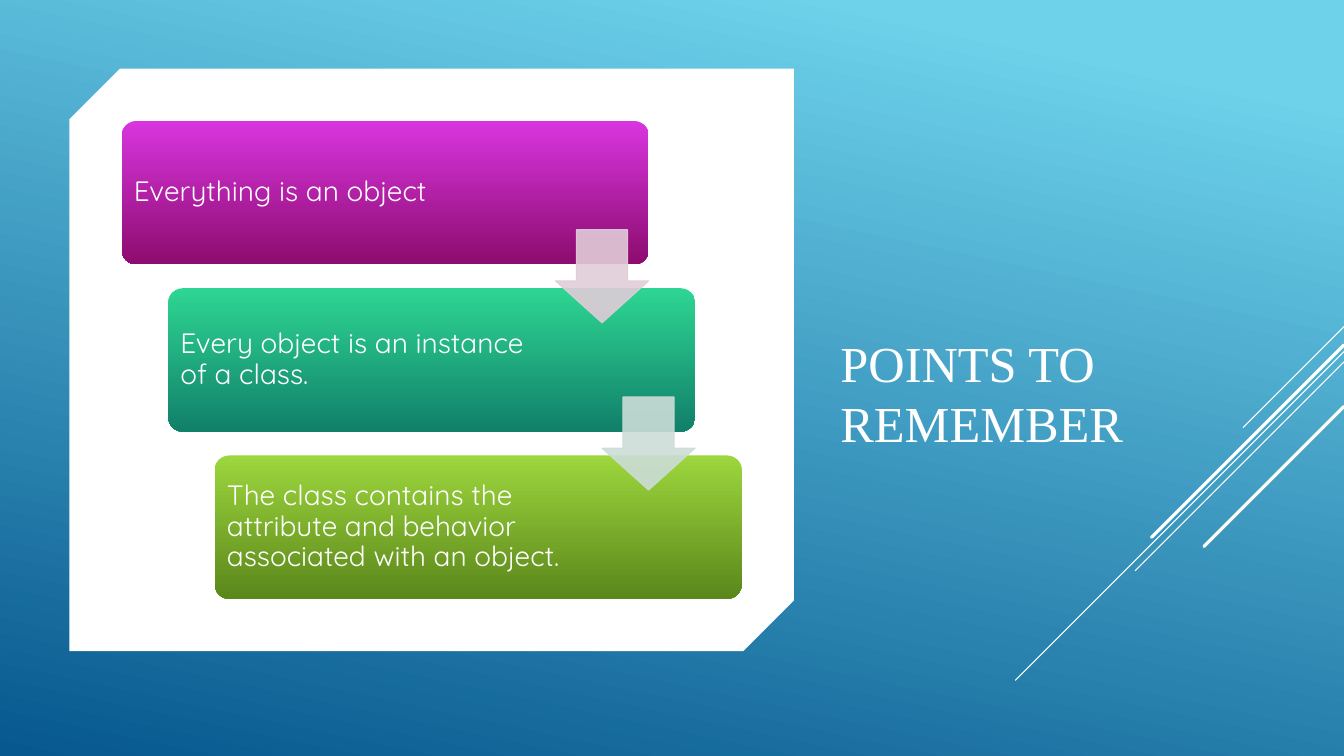
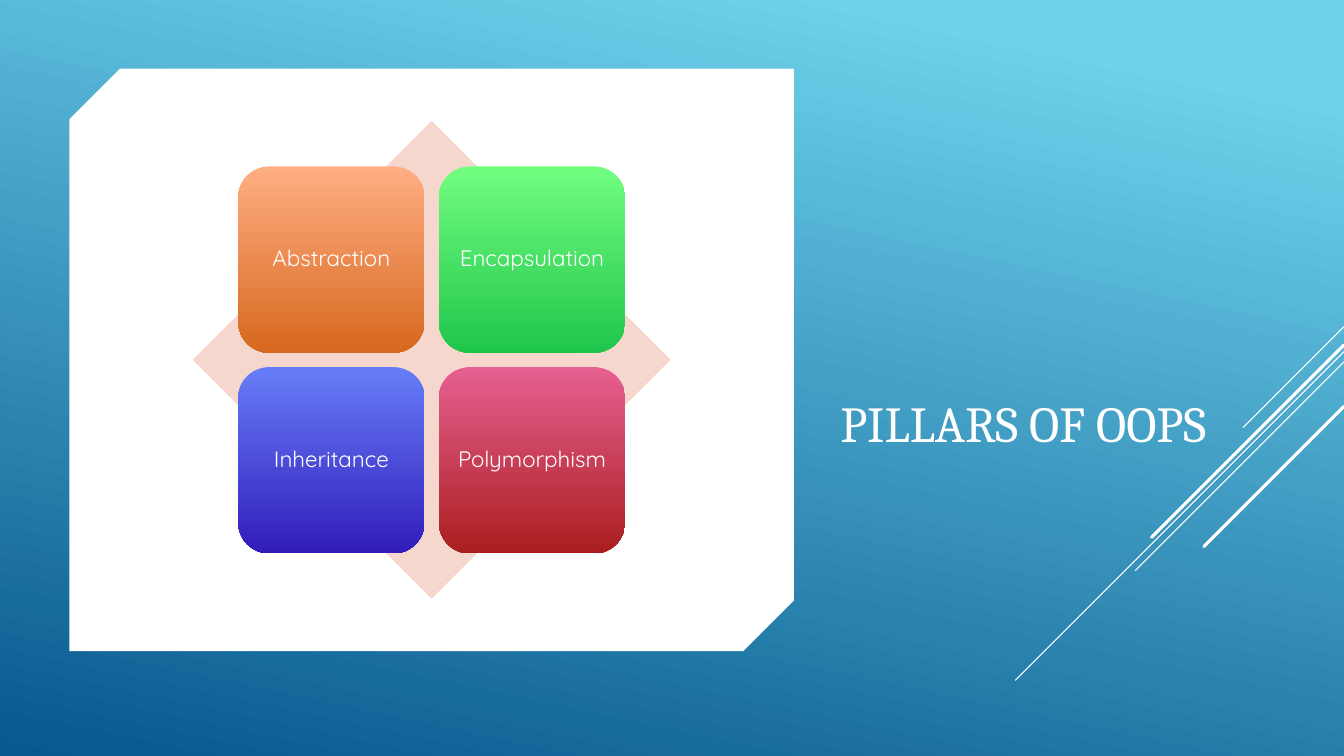
from dataclasses import dataclass

from lxml.etree import SubElement
from pptx import Presentation
from pptx.dml.color import RGBColor
from pptx.enum.shapes import MSO_CONNECTOR, MSO_SHAPE
from pptx.enum.text import MSO_ANCHOR, PP_ALIGN
from pptx.oxml.ns import qn
from pptx.util import Cm, Pt

WHITE = RGBColor(0xFF, 0xFF, 0xFF)
SKY = RGBColor(0x6E, 0xD2, 0xEB)
OCEAN = RGBColor(0x06, 0x58, 0x8E)
BLUSH = RGBColor(0xF6, 0xD7, 0xCE)
MAGENTA = (RGBColor(0xD8, 0x35, 0xDF), RGBColor(0x8D, 0x0C, 0x6F))
TEAL = (RGBColor(0x2E, 0xD5, 0x92), RGBColor(0x11, 0x80, 0x6A))
LIME = (RGBColor(0x9D, 0xD6, 0x3D), RGBColor(0x5B, 0x87, 0x1B))
ORANGE = (RGBColor(0xFF, 0xAE, 0x82), RGBColor(0xD7, 0x68, 0x1F))
GREEN = (RGBColor(0x72, 0xFD, 0x7F), RGBColor(0x20, 0xC6, 0x4C))
BLUE = (RGBColor(0x67, 0x7D, 0xF7), RGBColor(0x31, 0x1D, 0xBA))
RED = (RGBColor(0xE6, 0x60, 0x91), RGBColor(0xAA, 0x1E, 0x1F))
ARROW_COLORS = (RGBColor(0xE1, 0xCC, 0xD8), RGBColor(0xCC, 0xDD, 0xD7))
BODY_FONT = "Quicksand"

STEPS = (
    ("Everything is an object", MAGENTA),
    ("Every object is an instance of a class.", TEAL),
    ("The class contains the attribute and behavior associated with an object.", LIME),
)
PILLARS = (
    ("Abstraction", ORANGE),
    ("Encapsulation", GREEN),
    ("Inheritance", BLUE),
    ("Polymorphism", RED),
)
STREAKS = ((8.23, 2.54, 0.75), (8.86, 8.28, 0.75), (9.12, 5.26, 0.75),
           (8.69, 4.85, 2.25), (10.24, 3.53, 2.25))


@dataclass
class Box:
    """A rectangle measured in centimetres."""
    left: float
    top: float
    width: float
    height: float

    def lengths(self):
        """Return the four values as slide lengths."""
        return Cm(self.left), Cm(self.top), Cm(self.width), Cm(self.height)

    def inset(self, margin):
        """Return the box shrunk by a margin on every side."""
        return Box(self.left + margin, self.top + margin,
                   self.width - 2 * margin, self.height - 2 * margin)


SLIDE = Box(0, 0, 33.87, 19.05)
CARD = Box(1.75, 1.73, 18.26, 14.68)
TITLE = Box(20.93, 1.73, 10.16, 9.8)
DIAGRAM = CARD.inset(1.32)


def add_shape(slide, kind, box, color=None):
    """Add a preset shape without line or shadow, solid if given a colour."""
    shape = slide.shapes.add_shape(kind, *box.lengths())
    shape.shadow.inherit = False
    shape.line.fill.background()
    if color is not None:
        shape.fill.solid()
        shape.fill.fore_color.rgb = color
    return shape


def fill_gradient(shape, colors, clockwise=90, start=0):
    """Fill a shape with a two-colour linear gradient."""
    shape.fill.gradient()
    shape.fill.gradient_angle = 360 - clockwise
    for stop, color, position in zip(shape.fill.gradient_stops, colors, (start, 1)):
        stop.color.rgb = color
        stop.position = position


def write_text(shape, text, size, font, anchor, align=PP_ALIGN.LEFT, spacing=1.0):
    """Write one white paragraph in a shape."""
    frame = shape.text_frame
    frame.word_wrap = True
    frame.vertical_anchor = anchor
    paragraph = frame.paragraphs[0]
    paragraph.alignment = align
    paragraph.line_spacing = spacing
    run = paragraph.add_run()
    run.text = text
    run.font.size = Pt(size)
    run.font.name = font
    run.font.color.rgb = WHITE


def add_tile(slide, box, text, colors, size, align, margin, right_margin):
    """Add a rounded gradient tile with its label."""
    tile = add_shape(slide, MSO_SHAPE.ROUNDED_RECTANGLE, box)
    fill_gradient(tile, colors)
    frame = tile.text_frame
    frame.margin_left = frame.margin_top = frame.margin_bottom = Cm(margin)
    frame.margin_right = Cm(right_margin)
    write_text(tile, text, size, BODY_FONT, MSO_ANCHOR.MIDDLE, align, 0.9)
    return tile


def add_streaks(slide, box):
    """Draw the diagonal lines that run down from the right edge of the box."""
    right = box.left + box.width
    for top, reach, weight in STREAKS:
        streak = slide.shapes.add_connector(
            MSO_CONNECTOR.STRAIGHT, Cm(right), Cm(box.top + top),
            Cm(right - reach), Cm(box.top + top + reach))
        streak.line.color.rgb = WHITE
        streak.line.width = Pt(weight)
        properties = streak._element.spPr
        properties.find(qn("a:ln")).set("cap", "rnd")
        SubElement(properties, qn("a:effectLst"))


def add_base_slide(presentation, title, font):
    """Add a slide with backdrop, title, white card and streaks."""
    slide = presentation.slides.add_slide(presentation.slide_layouts[6])
    backdrop = add_shape(slide, MSO_SHAPE.RECTANGLE, SLIDE)
    fill_gradient(backdrop, (SKY, OCEAN), 102, 0.1)
    heading = slide.shapes.add_textbox(*TITLE.lengths())
    write_text(heading, title, 36, font, MSO_ANCHOR.BOTTOM)
    card = add_shape(slide, MSO_SHAPE.SNIP_2_DIAG_RECTANGLE, CARD, WHITE)
    card.adjustments[0] = 0.087
    card.adjustments[1] = 0
    add_streaks(slide, SLIDE)
    return slide


def add_arrow(slide, box, color):
    """Add a slightly transparent down arrow."""
    arrow = add_shape(slide, MSO_SHAPE.DOWN_ARROW, box, color)
    arrow.adjustments[0] = 0.55
    arrow.adjustments[1] = 0.45
    arrow.line.color.rgb = color
    arrow.line.width = Pt(0.75)
    for paint in arrow._element.spPr.iter(qn("a:srgbClr")):
        SubElement(paint, qn("a:alpha")).set("val", "90000")


def add_staircase(slide, box):
    """Place the steps down the box and an arrow between each pair."""
    width, height = 0.85 * box.width, 0.3 * box.height
    shift, drop = 0.075 * box.width, 0.35 * box.height
    for index, (text, colors) in enumerate(STEPS):
        place = Box(box.left + index * shift, box.top + index * drop, width, height)
        step = add_tile(slide, place, text, colors, 20, PP_ALIGN.LEFT, 0.2, 3.73)
        step.adjustments[0] = 0.1
    size = 0.65 * height
    for index, color in enumerate(ARROW_COLORS):
        left = box.left + index * shift + width - size
        middle = box.top + index * drop + (height + drop) / 2
        add_arrow(slide, Box(left, middle - size / 2, size, size), color)


def add_pillars(slide, box):
    """Place a diamond in the middle of the box with four tiles on it."""
    side = box.height
    left = box.left + (box.width - side) / 2
    add_shape(slide, MSO_SHAPE.DIAMOND, Box(left, box.top, side, side), BLUSH)
    tile, pitch, offset = 0.39 * side, 0.42 * side, 0.095 * side
    for index, (text, colors) in enumerate(PILLARS):
        row, column = divmod(index, 2)
        place = Box(left + offset + column * pitch,
                    box.top + offset + row * pitch, tile, tile)
        add_tile(slide, place, text, colors, 16, PP_ALIGN.CENTER, 0.17, 0.17)


def main():
    """Build and save the presentation."""
    presentation = Presentation()
    presentation.slide_width = Cm(SLIDE.width)
    presentation.slide_height = Cm(SLIDE.height)
    add_staircase(add_base_slide(presentation, "POINTS TO REMEMBER", "Times New Roman"), DIAGRAM)
    add_pillars(add_base_slide(presentation, "PILLARS OF OOPS", "Cambria"), DIAGRAM)
    presentation.save("out.pptx")


if __name__ == "__main__":
    main()
